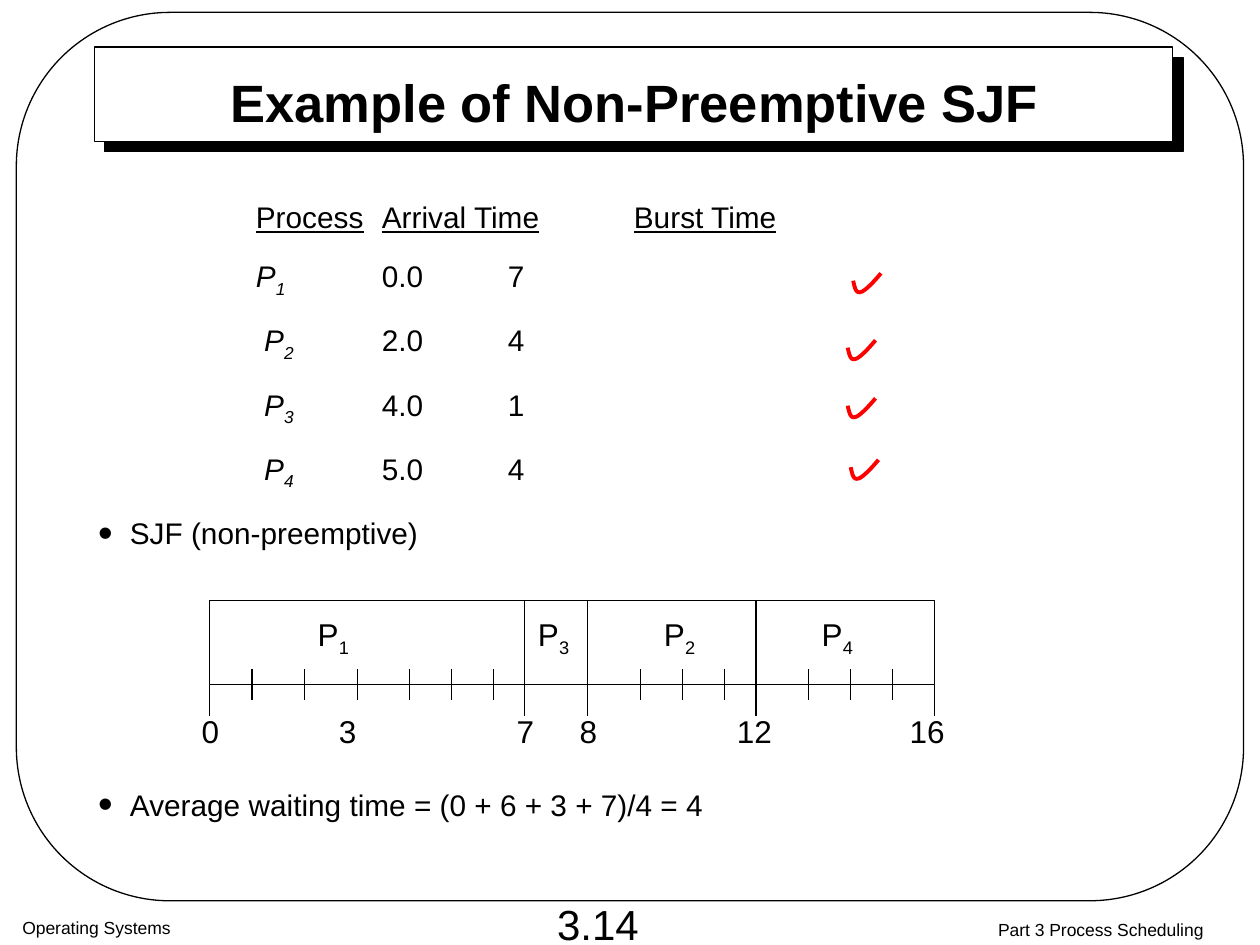
from lxml.etree import SubElement
from pptx import Presentation
from pptx.dml.color import RGBColor
from pptx.enum.shapes import MSO_CONNECTOR, MSO_SHAPE
from pptx.enum.text import MSO_ANCHOR, PP_ALIGN
from pptx.oxml.ns import qn
from pptx.util import Cm, Pt

COLORS = {"ink": "000000", "paper": "FFFFFF", "check": "FF0000"}
BODY_SIZE = 17
GANTT_SIZE = 18


def add_run(paragraph, text, size, italic=False, underline=False, bold=False, subscript=False):
    run = paragraph.add_run()
    run.text = text
    run.font.name = "Arial"
    run.font.size = Pt(size)
    run.font.bold = bold
    run.font.italic = italic
    run.font.underline = underline
    run.font.color.rgb = RGBColor.from_string(COLORS["ink"])
    if subscript:
        run.font._element.set("baseline", "-25000")


def add_box(left, top, width, height, align=PP_ALIGN.CENTER, anchor=MSO_ANCHOR.MIDDLE, wrap=True):
    frame = slide.shapes.add_textbox(Cm(left), Cm(top), Cm(width), Cm(height)).text_frame
    frame.word_wrap = wrap
    frame.vertical_anchor = anchor
    frame.paragraphs[0].alignment = align
    return frame


prs = Presentation()
prs.slide_width = Cm(25.4)
prs.slide_height = Cm(19.05)
slide = prs.slides.add_slide(prs.slide_layouts[5])

title_panel = slide.shapes.add_shape(MSO_SHAPE.RECTANGLE, Cm(1.9), Cm(0.95), Cm(21.74), Cm(1.9))
page_border = slide.shapes.add_shape(
    MSO_SHAPE.ROUNDED_RECTANGLE, Cm(0.33), Cm(0.25), Cm(24.74), Cm(17.91))
page_border.adjustments[0] = 0.173
gantt_bar = slide.shapes.add_shape(MSO_SHAPE.RECTANGLE, Cm(4.23), Cm(12.1), Cm(14.61), Cm(1.7))
for panel in (title_panel, page_border, gantt_bar):
    panel.shadow.inherit = False
    panel.line.color.rgb = RGBColor.from_string(COLORS["ink"])
    panel.line.width = Pt(0.75)
    panel.fill.solid()
    panel.fill.fore_color.rgb = RGBColor.from_string(COLORS["paper"])
page_border.fill.background()

panel_effects = title_panel.element.spPr.find(qn("a:effectLst"))
panel_shadow = SubElement(panel_effects, qn("a:outerShdw"), blurRad="0", dist=str(Pt(8.5)),
                          dir="2700000", algn="ctr", rotWithShape="0")
SubElement(panel_shadow, qn("a:srgbClr"), val=COLORS["ink"])

title = slide.shapes.title
title.left, title.top, title.width, title.height = Cm(3.23), Cm(1.42), Cm(19.13), Cm(1.27)
title.text_frame.vertical_anchor = MSO_ANCHOR.MIDDLE
title.text_frame.paragraphs[0].alignment = PP_ALIGN.CENTER
add_run(title.text_frame.paragraphs[0], "Example of Non-Preemptive SJF", 30, bold=True)
title.element.getparent().append(title.element)

course = add_box(0.2, 18.36, 9.8, 0.89, PP_ALIGN.LEFT, MSO_ANCHOR.TOP)
add_run(course.paragraphs[0], "Operating Systems", 10)
page_number = add_box(9.53, 17.98, 5.05, 1.27)
add_run(page_number.paragraphs[0], "3.14", 24)
chapter = add_box(19.74, 18.4, 4.9, 0.81, anchor=MSO_ANCHOR.TOP)
add_run(chapter.paragraphs[0], "Part 3 Process Scheduling", 10)

body = add_box(1.73, 3.88, 21.82, 12.9, PP_ALIGN.LEFT, MSO_ANCHOR.TOP)
header = body.paragraphs[0]
add_run(header, "\t", BODY_SIZE)
add_run(header, "Process", BODY_SIZE, underline=True)
add_run(header, "\t", BODY_SIZE)
add_run(header, "Arrival Time", BODY_SIZE, underline=True)
add_run(header, "\t", BODY_SIZE)
add_run(header, "Burst Time", BODY_SIZE, underline=True)
process_rows = [header]
for number, arrival, burst in (("1", "0.0", "7"), ("2", "2.0", "4"), ("3", "4.0", "1"), ("4", "5.0", "4")):
    row = body.add_paragraph()
    row.space_before = Pt(13.5)
    add_run(row, "\t" if number == "1" else "\t ", BODY_SIZE)
    add_run(row, "P", BODY_SIZE, italic=True)
    add_run(row, number, BODY_SIZE, italic=True, subscript=True)
    add_run(row, f"\t{arrival}\t{burst}", BODY_SIZE)
    process_rows.append(row)
for row in process_rows:
    tab_stops = SubElement(row._p.get_or_add_pPr(), qn("a:tabLst"))
    for column in range(4):
        SubElement(tab_stops, qn("a:tab"), pos=str(Cm(3.18 + 2.54 * column)), algn="l")

for statement, gap in (("SJF (non-preemptive)", 13.5),
                       ("Average waiting time = (0 + 6 + 3 + 7)/4 = 4", 134.8)):
    bullet = body.add_paragraph()
    bullet.space_before = Pt(gap)
    add_run(bullet, statement, BODY_SIZE)
    bullet_format = bullet._p.get_or_add_pPr()
    bullet_format.set("marL", str(Cm(0.64)))
    bullet_format.set("indent", str(-Cm(0.64)))
    bullet_color = SubElement(bullet_format, qn("a:buClr"))
    SubElement(bullet_color, qn("a:srgbClr"), val=COLORS["ink"])
    SubElement(bullet_format, qn("a:buSzPct"), val="140000")
    SubElement(bullet_format, qn("a:buFont"), typeface="Arial")
    SubElement(bullet_format, qn("a:buChar"), char="•")

for number, center in (("1", 6.72), ("3", 11.16), ("2", 13.7), ("4", 16.88)):
    process_label = add_box(center - 0.57, 12.27, 1.14, 1.12, wrap=False).paragraphs[0]
    add_run(process_label, "P", GANTT_SIZE)
    add_run(process_label, number, GANTT_SIZE, subscript=True)

for time, center in (("0", 4.24), ("3", 7.01), ("7", 10.59), ("8", 11.86), ("12", 15.21), ("16", 18.69)):
    width = 0.5 + 0.36 * len(time)
    time_label = add_box(center - width / 2, 14.22, width, 1.02, wrap=False)
    add_run(time_label.paragraphs[0], time, GANTT_SIZE)

switches = [10.58, 11.85, 15.24]
unit_ticks = [5.08, 6.14, 7.2, 8.26, 9.1, 9.95, 12.91, 13.76, 14.61, 16.3, 17.15, 17.99]
gantt_lines = [(x, 12.1, 13.8) for x in switches]
gantt_lines += [(x, 13.8, 14.43) for x in [4.23, *switches, 18.84]]
gantt_lines += [(x, 13.49, 14.12) for x in unit_ticks + switches]
for x, top, bottom in gantt_lines:
    tick = slide.shapes.add_connector(MSO_CONNECTOR.STRAIGHT, Cm(x), Cm(top), Cm(x), Cm(bottom))
    tick.line.color.rgb = RGBColor.from_string(COLORS["ink"])
    tick.line.width = Pt(0.75)
    SubElement(tick.element.spPr, qn("a:effectLst"))

check_curves = [[(0, 0.15), (0.03, 0.28), (0.05, 0.41), (0.15, 0.38)],
                [(0.15, 0.38), (0.24, 0.36), (0.41, 0.18), (0.56, 0)]]
STEPS = 8
check_points = [(0, 0.15)]
for curve in check_curves:
    for step in range(1, STEPS + 1):
        t = step / STEPS
        weights = ((1 - t) ** 3, 3 * t * (1 - t) ** 2, 3 * t ** 2 * (1 - t), t ** 3)
        check_points.append(tuple(sum(w * p[axis] for w, p in zip(weights, curve)) for axis in (0, 1)))

for left, top in ((17.2, 5.51), (17.09, 6.86), (17.09, 8.03), (17.15, 9.27)):
    outline = [(Cm(left + x), Cm(top + y)) for x, y in check_points]
    pen = slide.shapes.build_freeform(*outline[0])
    pen.add_line_segments(outline[1:], close=False)
    check = pen.convert_to_shape()
    check.shadow.inherit = False
    check.fill.background()
    check.line.color.rgb = RGBColor.from_string(COLORS["check"])
    check.line.width = Pt(2.25)

prs.save("out.pptx")
